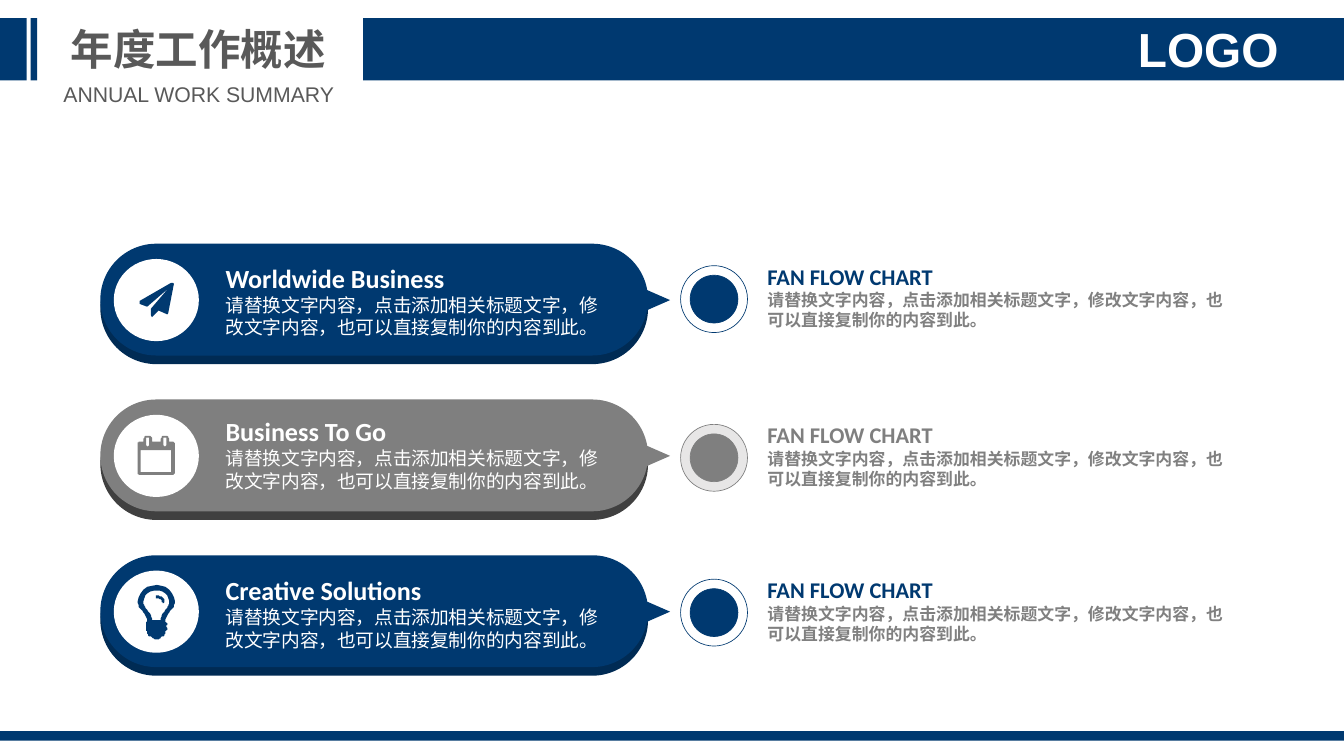
"""Build the annual work summary slide with three callout rows."""
import pptx
import pptx.dml.color
import pptx.enum.shapes
import pptx.enum.text
import pptx.util

Inches = pptx.util.Inches
RGBColor = pptx.dml.color.RGBColor
SHAPE = pptx.enum.shapes.MSO_SHAPE
ALIGN = pptx.enum.text.PP_ALIGN
ANCHOR = pptx.enum.text.MSO_ANCHOR

NAVY = RGBColor(0x00, 0x39, 0x70)
DARK_NAVY = RGBColor(0x00, 0x2B, 0x54)
GRAY = RGBColor(0x7F, 0x7F, 0x7F)
DARK_GRAY = RGBColor(0x40, 0x40, 0x40)
PALE_GRAY = RGBColor(0xE7, 0xE6, 0xE6)
NOTE_GRAY = RGBColor(0x80, 0x80, 0x80)
HEADER_GRAY = RGBColor(0x59, 0x59, 0x59)
WHITE = RGBColor(0xFF, 0xFF, 0xFF)

SLIDE_W, SLIDE_H = 14.06, 7.91
FIRST_ROW_TOP, ROW_PITCH = 2.55, 1.63
BODY = "请替换文字内容，点击添加相关标题文字，修改文字内容，也可以直接复制你的内容到此。"
NOTE_TITLE = "FAN FLOW CHART"

# Icon outlines in hundredths of an inch: pairs are corners, sextuples are Bezier curves.
PLANE = [[(36, 1), (30, 32), (29, 33), (20, 29), (14, 35), (13, 36), (12, 34), (12, 27),
          (30, 6), (8, 25), (0, 22), (0, 19), (33, 0), (35, 0)]]


def slot(left):
    """Return the outline of a calendar ring slot."""
    return [(left, 4), (left, 3, left, 2, left + 1, 2), (left + 2, 2),
            (left + 3, 2, left + 3, 3, left + 3, 4), (left + 3, 10),
            (left + 2, 11), (left + 1, 11), (left, 10)]


CALENDAR = [
    [(39, 38), (39, 40, 37, 41, 35, 41), (3, 41), (1, 41, 0, 40, 0, 38), (0, 9),
     (0, 7, 1, 6, 3, 6), (6, 6), (6, 4), (6, 1, 8, 0, 10, 0), (11, 0),
     (14, 0, 15, 1, 15, 4), (15, 6), (24, 6), (24, 4), (24, 1, 26, 0, 27, 0), (29, 0),
     (31, 0, 33, 1, 33, 4), (33, 6), (35, 6), (37, 6, 39, 7, 39, 9)],
    [(35, 38), (35, 15), (3, 15), (3, 38)],
    slot(9),
    slot(27),
]
BULB = [
    [(34, 27), (32, 30, 29, 34, 29, 38), (30, 39, 31, 40, 31, 41), (31, 42, 30, 43, 30, 44),
     (31, 45), (31, 47, 30, 48, 29, 49), (29, 50), (29, 53, 27, 54, 25, 54),
     (24, 56, 22, 57, 20, 57), (18, 57, 15, 56, 14, 54), (12, 54, 10, 53, 10, 50), (10, 49),
     (9, 48, 9, 47, 9, 45), (9, 41), (9, 40, 9, 39, 10, 38), (10, 34, 7, 30, 5, 27),
     (2, 24, 0, 22, 0, 17), (0, 8, 10, 0, 20, 0), (29, 0, 39, 8, 39, 17),
     (39, 22, 37, 24, 34, 27)],
    [(20, 6), (13, 6, 6, 10, 6, 17), (6, 20, 7, 22, 8, 24), (10, 26), (13, 30, 15, 33, 15, 37),
     (24, 37), (24, 33, 26, 30, 29, 26), (31, 24), (32, 22, 33, 20, 33, 17),
     (33, 10, 26, 6, 20, 6)],
    [(27, 19), (26, 19, 25, 18, 25, 17), (25, 15, 21, 14, 20, 14), (19, 14, 19, 13, 19, 12),
     (19, 12, 19, 11, 20, 11), (23, 11, 28, 13, 28, 17), (28, 18, 27, 19, 27, 19)],
]

# Heading, face, edge, ring fill, icon, icon left and top, heading top, note top.
ROWS = [
    ("Worldwide Business", NAVY, DARK_NAVY, WHITE, PLANE, 0.41, 0.41, 0.19, 0.15),
    ("Business To Go", GRAY, DARK_GRAY, PALE_GRAY, CALENDAR, 0.39, 0.38, 0.17, 0.18),
    ("Creative Solutions", NAVY, DARK_NAVY, WHITE, BULB, 0.39, 0.31, 0.20, 0.17),
]


def add_block(slide, kind, box, fill, line=None):
    """Add a filled preset shape with an optional thin outline."""
    block = slide.shapes.add_shape(kind, *map(Inches, box))
    block.shadow.inherit = False
    block.fill.solid()
    block.fill.fore_color.rgb = fill
    if line is None:
        block.line.fill.background()
    else:
        block.line.color.rgb = line
        block.line.width = pptx.util.Pt(0.5)
    return block


def add_text(slide, box, paragraphs, font="Calibri", align=ALIGN.LEFT,
             anchor=ANCHOR.TOP, wrap=True, inset=True):
    """Add a text box from (text, size, colour, bold) paragraphs."""
    frame = slide.shapes.add_textbox(*map(Inches, box)).text_frame
    frame.word_wrap = wrap
    frame.auto_size = pptx.enum.text.MSO_AUTO_SIZE.SHAPE_TO_FIT_TEXT
    frame.vertical_anchor = anchor
    if not inset:
        frame.margin_left = frame.margin_right = frame.margin_top = frame.margin_bottom = 0
    for index, (text, size, colour, bold) in enumerate(paragraphs):
        paragraph = frame.add_paragraph() if index else frame.paragraphs[0]
        paragraph.alignment = align
        run = paragraph.add_run()
        run.text = text
        run.font.name = font
        run.font.size = pptx.util.Pt(size)
        run.font.bold = bold
        run.font.color.rgb = colour


def flatten(outline, steps=6):
    """Turn corners and Bezier curves into a list of points."""
    points = []
    for segment in outline:
        if len(segment) == 2:
            points.append(segment)
            continue
        x0, y0 = points[-1]
        x1, y1, x2, y2, x3, y3 = segment
        for step in range(1, steps + 1):
            t = step / steps
            a, b, c, d = (1 - t) ** 3, 3 * t * (1 - t) ** 2, 3 * t * t * (1 - t), t ** 3
            points.append((a * x0 + b * x1 + c * x2 + d * x3,
                           a * y0 + b * y1 + c * y2 + d * y3))
    return points


def add_icon(slide, left, top, outlines, fill):
    """Draw an icon whose inner outlines are holes."""
    contours = [flatten(outline) for outline in outlines]
    builder = slide.shapes.build_freeform(*contours[0][0], scale=Inches(0.01))
    for index, contour in enumerate(contours):
        if index:
            builder.move_to(*contour[0])
        builder.add_line_segments(contour[1:], close=True)
    icon = builder.convert_to_shape(Inches(left), Inches(top))
    icon.shadow.inherit = False
    icon.fill.solid()
    icon.fill.fore_color.rgb = fill
    icon.line.fill.background()


def add_callout(slide, left, top, row):
    """Place a pill with its pointer, icon, heading and body text."""
    heading, face, edge, _, icon, icon_x, icon_y, heading_y, _ = row
    for drop, fill in ((0.09, edge), (0, face)):
        pill = add_block(slide, SHAPE.ROUNDED_RECTANGLE, (left, top + drop, 5.73, 1.17), fill)
        pill.adjustments[0] = 0.5
    pointer = add_block(slide, SHAPE.ISOSCELES_TRIANGLE,
                        (left + 5.66, top + 0.43, 0.28, 0.32), face)
    pointer.rotation = 90
    add_block(slide, SHAPE.OVAL, (left + 0.14, top + 0.16, 0.89, 0.86), WHITE)
    add_icon(slide, left + icon_x, top + icon_y, icon, face)
    add_text(slide, (left + 1.31, top + heading_y, 2.7, 0.33),
             [(heading, 19.7, WHITE, True)], anchor=ANCHOR.MIDDLE, wrap=False, inset=False)
    add_text(slide, (left + 1.31, top + heading_y + 0.33, 4.03, 0.47),
             [(BODY, 14.1, WHITE, False)], inset=False)


def add_note(slide, left, top, row):
    """Place a ringed dot with its title and note."""
    colour, ring_fill = row[1], row[3]
    add_block(slide, SHAPE.OVAL, (left, top + 0.08, 0.7, 0.7), ring_fill, colour)
    add_block(slide, SHAPE.OVAL, (left + 0.1, top + 0.18, 0.5, 0.5), colour, colour)
    add_text(slide, (left + 0.81, top, 5.08, 0.81),
             [(NOTE_TITLE, 16.9, colour, True), (BODY, 12.7, NOTE_GRAY, True)])


def add_header(slide, top):
    """Place the banner blocks, the titles and the logo word."""
    for left, width in ((3.8, SLIDE_W - 3.8), (0, 0.28), (0.32, 0.07)):
        add_block(slide, SHAPE.RECTANGLE, (left, top, width, 0.65), NAVY)
    add_text(slide, (0.63, top, 2.89, 0.64), [("年度工作概述", 32, HEADER_GRAY, True)],
             font="Arial", align=ALIGN.CENTER, wrap=False)
    add_text(slide, (11.6, top + 0.02, 2.08, 0.61), [("LOGO", 36, WHITE, True)],
             font="Arial", align=ALIGN.CENTER, inset=False)
    add_text(slide, (0.55, top + 0.61, 3.06, 0.37),
             [("ANNUAL WORK SUMMARY", 16, HEADER_GRAY, False)],
             font="Arial", align=ALIGN.CENTER, wrap=False)


def main():
    """Assemble and save the slide."""
    deck = pptx.Presentation()
    deck.slide_width, deck.slide_height = Inches(SLIDE_W), Inches(SLIDE_H)
    slide = deck.slides.add_slide(deck.slide_layouts[6])
    for index, row in enumerate(ROWS):
        top = FIRST_ROW_TOP + index * ROW_PITCH
        add_callout(slide, 1.05, top, row)
        add_note(slide, 7.12, top + row[-1], row)
    add_header(slide, 0.19)
    add_block(slide, SHAPE.RECTANGLE, (0, 7.65, SLIDE_W, 0.1), NAVY)
    deck.save("out.pptx")


if __name__ == "__main__":
    main()
